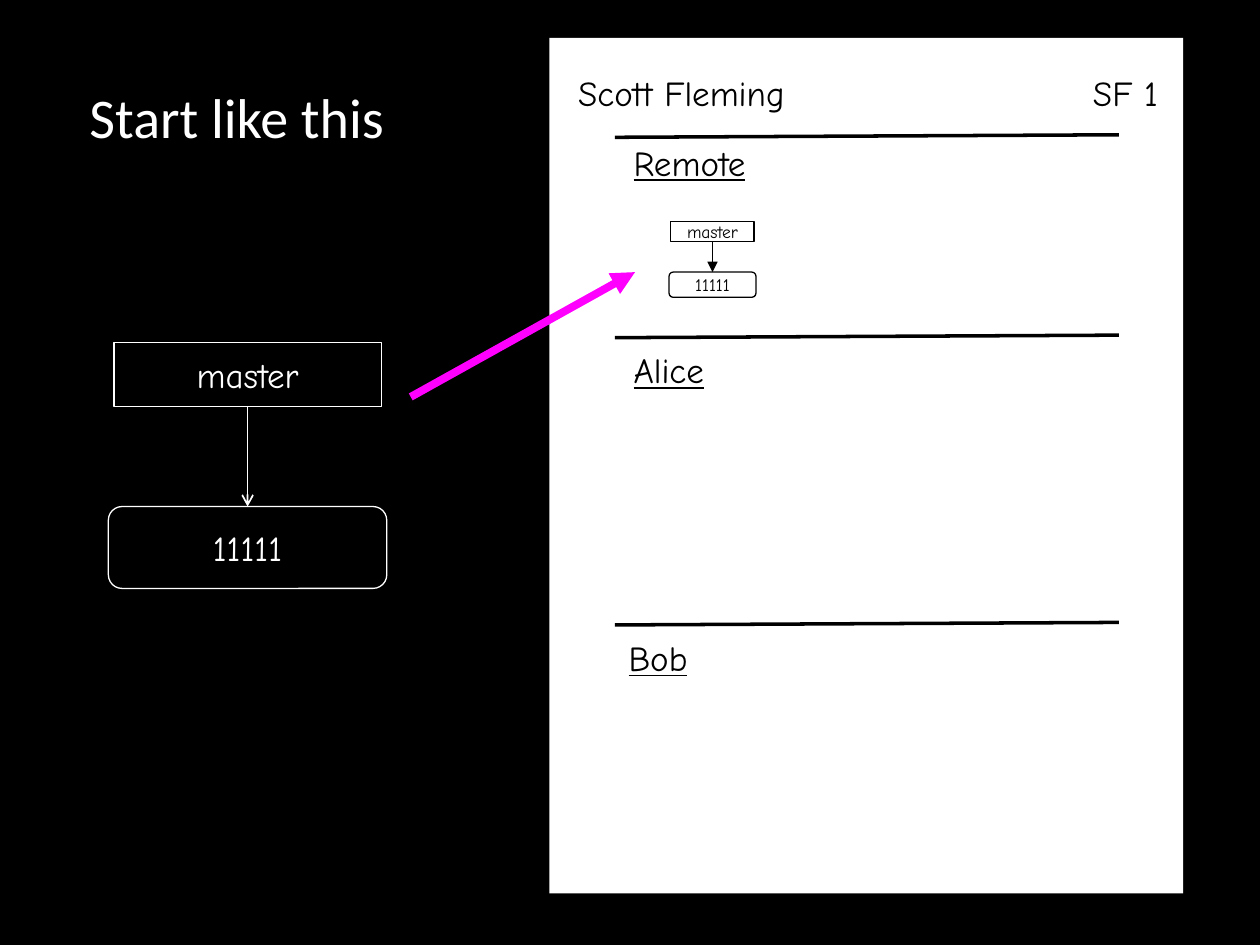
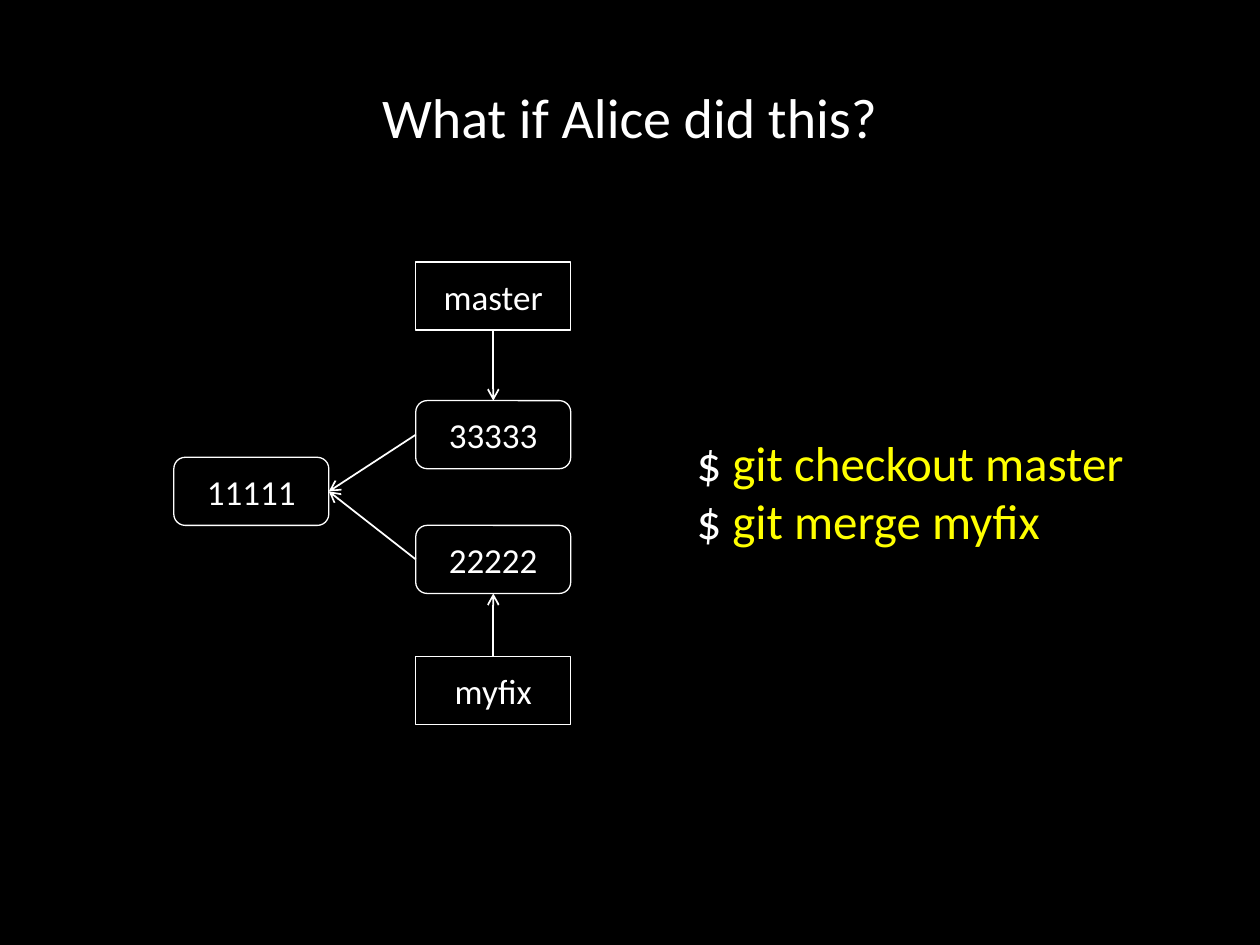
"""Build two slides about branches and merging."""
from dataclasses import dataclass
from typing import NamedTuple

from lxml import etree
from pptx import Presentation
from pptx.dml.color import RGBColor
from pptx.enum.shapes import MSO_CONNECTOR, MSO_SHAPE
from pptx.enum.text import MSO_ANCHOR, MSO_AUTO_SIZE, PP_ALIGN
from pptx.oxml.ns import qn
from pptx.util import Inches, Pt

LEFT, CENTER, RIGHT = PP_ALIGN.LEFT, PP_ALIGN.CENTER, PP_ALIGN.RIGHT
MIDDLE = MSO_ANCHOR.MIDDLE
FIT_SHAPE = MSO_AUTO_SIZE.SHAPE_TO_FIT_TEXT
STRAIGHT = MSO_CONNECTOR.STRAIGHT
RECTANGLE, ROUNDED = MSO_SHAPE.RECTANGLE, MSO_SHAPE.ROUNDED_RECTANGLE
TITLE_ONLY = 5
SITE_TOP, SITE_LEFT, SITE_BOTTOM, SITE_RIGHT = range(4)


@dataclass(frozen=True)
class Theme:
    """Colours, fonts, type sizes and line widths."""

    black: RGBColor = RGBColor(0, 0, 0)
    white: RGBColor = RGBColor(255, 255, 255)
    magenta: RGBColor = RGBColor(255, 0, 255)
    yellow: RGBColor = RGBColor(255, 255, 0)
    font: str = "Calibri"
    hand_font: str = "Comic Neue"
    title_size: int = 32
    command_size: int = 28
    body_size: int = 20
    small_size: int = 10
    outline: float = 0.75
    arrow: float = 1
    rule: float = 2
    pointer: float = 4.5


THEME = Theme()


class Box(NamedTuple):
    """A region in inches."""

    left: float
    top: float
    width: float
    height: float

    def inner(self, left, top, width, height):
        """Return a box placed relative to this one."""
        return Box(self.left + left, self.top + top, width, height)

    def lengths(self):
        """Return the four measures as lengths."""
        return [Inches(value) for value in self]


def write_text(paragraph, text, *, size=THEME.body_size, font=THEME.font,
               color=THEME.white, align=LEFT, underline=None):
    """Append a formatted run to a paragraph."""
    paragraph.alignment = align
    run = paragraph.add_run()
    run.text = text
    run.font.size = Pt(size)
    run.font.name = font
    run.font.color.rgb = color
    run.font.underline = underline


def add_label(slide, box, text, **text_format):
    """Add a one-line text box."""
    frame = add_text_frame(slide, box)
    write_text(frame.paragraphs[0], text, **text_format)


def add_text_frame(slide, box):
    """Add a text box that fits its text and return its frame."""
    frame = slide.shapes.add_textbox(*box.lengths()).text_frame
    frame.word_wrap = False
    frame.auto_size = FIT_SHAPE
    return frame


def add_node(slide, box, text, kind, color=THEME.white, **text_format):
    """Add an outlined node with centred text."""
    shape = slide.shapes.add_shape(kind, *box.lengths())
    shape.shadow.inherit = False
    shape.fill.background()
    shape.line.color.rgb = color
    shape.line.width = Pt(THEME.outline)
    shape.text_frame.word_wrap = True
    shape.text_frame.vertical_anchor = MIDDLE
    write_text(shape.text_frame.paragraphs[0], text, color=color, align=CENTER, **text_format)
    return shape


def add_line(slide, start=(0, 0), end=(0, 0), color=THEME.white, width=THEME.arrow, head=None):
    """Add a straight line with an optional arrowhead at its end."""
    line = slide.shapes.add_connector(STRAIGHT, *(Inches(value) for value in (*start, *end)))
    line.line.color.rgb = color
    line.line.width = Pt(width)
    properties = line._element.spPr
    if head:
        etree.SubElement(properties.find(qn("a:ln")), qn("a:tailEnd"), type=head)
    etree.SubElement(properties, qn("a:effectLst"))
    return line


def link_nodes(slide, source, source_site, target, target_site, color=THEME.white, head="arrow"):
    """Join two nodes with an arrow."""
    line = add_line(slide, color=color, head=head)
    line.begin_connect(source, source_site)
    line.end_connect(target, target_site)


def add_titled_slide(presentation, title, box):
    """Add a title-only slide and format its title."""
    slide = presentation.slides.add_slide(presentation.slide_layouts[TITLE_ONLY])
    shape = slide.shapes.title
    shape.left, shape.top, shape.width, shape.height = box.lengths()
    shape.text_frame.vertical_anchor = MIDDLE
    write_text(shape.text_frame.paragraphs[0], title, size=THEME.title_size, align=CENTER)
    return slide


def draw_first_commit(slide, box, color, size, head):
    """Draw the master label pointing at the first commit, scaled to the box."""
    label_width, label_height = box.width * 0.96, box.height * 0.26
    commit_height = box.height / 3
    text_format = {"color": color, "size": size, "font": THEME.hand_font}
    label_box = box.inner((box.width - label_width) / 2, 0, label_width, label_height)
    commit_box = box.inner(0, box.height - commit_height, box.width, commit_height)
    commit = add_node(slide, commit_box, "11111", ROUNDED, **text_format)
    label = add_node(slide, label_box, "master", RECTANGLE, **text_format)
    link_nodes(slide, label, SITE_BOTTOM, commit, SITE_TOP, color, head)


def draw_worksheet(slide, box):
    """Draw the sheet of paper with its header and three sections."""
    paper = slide.shapes.add_shape(RECTANGLE, *box.lengths())
    paper.shadow.inherit = False
    paper.fill.solid()
    paper.fill.fore_color.rgb = THEME.white
    paper.line.fill.background()

    ink = {"color": THEME.black, "font": THEME.hand_font}
    add_label(slide, box.inner(0.13, 0.22, 1.88, 0.44), "Scott Fleming", **ink)
    add_label(slide, box.inner(4.13, 0.22, 0.8, 0.44), "SF 1", align=RIGHT, **ink)
    sections = [
        ("Remote", 0.79, 0.57, 0.77, 1.2),
        ("Alice", 2.38, 0.57, 2.42, 0.8),
        ("Bob", 4.66, 0.53, 4.7, 0.7),
    ]
    for name, rule_top, name_left, name_top, name_width in sections:
        left, top = box.left + 0.52, box.top + rule_top
        add_line(slide, (left, top), (left + 4, top - 0.02), THEME.black, THEME.rule)
        add_label(slide, box.inner(name_left, name_top, name_width, 0.44), name,
                  underline=True, **ink)
    draw_first_commit(slide, box.inner(0.95, 1.46, 0.69, 0.6), THEME.black,
                      THEME.small_size, "triangle")


def draw_branches(slide, box):
    """Draw two branches that share one parent commit."""
    width, height = 1.23, 0.54
    column = box.width - width
    layout = {
        "11111": (0, 1.55, ROUNDED),
        "master": (column, 0, RECTANGLE),
        "33333": (column, 1.1, ROUNDED),
        "22222": (column, 2.09, ROUNDED),
        "myfix": (column, box.height - height, RECTANGLE),
    }
    nodes = {name: add_node(slide, box.inner(left, top, width, height), name, kind)
             for name, (left, top, kind) in layout.items()}
    links = [
        ("master", SITE_BOTTOM, "33333", SITE_TOP),
        ("33333", SITE_LEFT, "11111", SITE_RIGHT),
        ("22222", SITE_LEFT, "11111", SITE_RIGHT),
        ("myfix", SITE_TOP, "22222", SITE_BOTTOM),
    ]
    for source, source_site, target, target_site in links:
        link_nodes(slide, nodes[source], source_site, nodes[target], target_site)


def draw_commands(slide, box, commands):
    """Write shell commands, each after a prompt."""
    frame = add_text_frame(slide, box)
    for index, command in enumerate(commands):
        paragraph = frame.add_paragraph() if index else frame.paragraphs[0]
        write_text(paragraph, "$ ", size=THEME.command_size)
        write_text(paragraph, command, size=THEME.command_size, color=THEME.yellow)


def build_start_slide(presentation):
    """Build the slide that shows the starting sheet."""
    slide = add_titled_slide(presentation, "Start like this", Box(0.5, 0.3, 2.76, 1.25))
    draw_worksheet(slide, Box(4.36, 0.3, 5.03, 6.79))
    draw_first_commit(slide, Box(0.86, 2.72, 2.21, 1.95), THEME.white,
                      THEME.body_size, "arrow")
    add_line(slide, (3.26, 3.15), (5.04, 2.16), THEME.magenta, THEME.pointer, "triangle")


def build_merge_slide(presentation):
    """Build the slide that asks about a merge."""
    slide = add_titled_slide(presentation, "What if Alice did this?", Box(0.5, 0.3, 9, 1.25))
    draw_branches(slide, Box(1.38, 2.08, 3.15, 3.67))
    draw_commands(slide, Box(5.43, 3.38, 3.61, 1.04), ["git checkout master", "git merge myfix"])


def main():
    """Create and save the presentation."""
    presentation = Presentation()
    presentation.slide_width, presentation.slide_height = Inches(10), Inches(7.5)
    background = presentation.slide_master.background.fill
    background.solid()
    background.fore_color.rgb = THEME.black
    build_start_slide(presentation)
    build_merge_slide(presentation)
    presentation.save("out.pptx")


if __name__ == "__main__":
    main()
